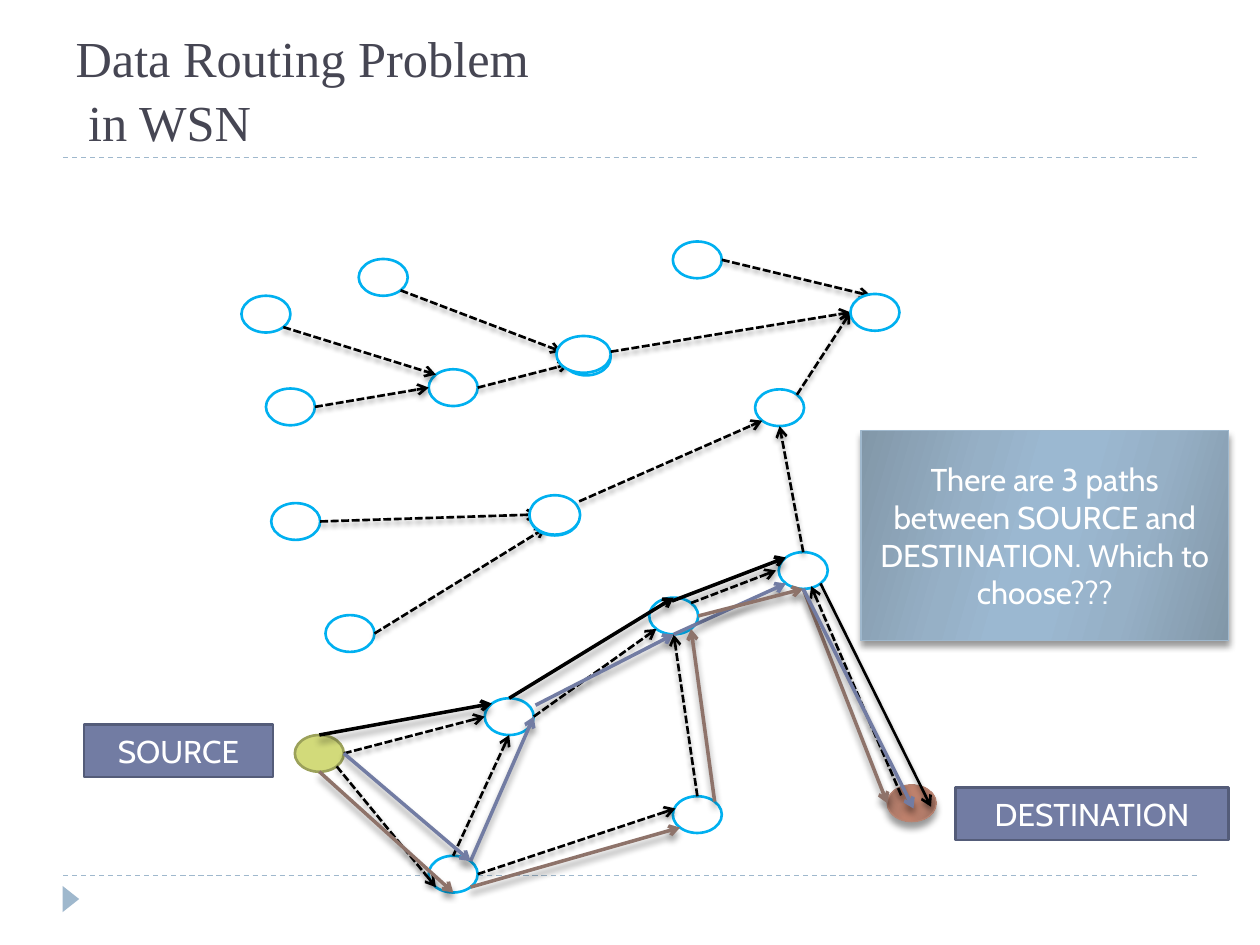
from pptx import Presentation
from pptx.dml.color import RGBColor
from pptx.enum.dml import MSO_LINE as Dash
from pptx.enum.shapes import MSO_CONNECTOR as Link, MSO_SHAPE as Form
from pptx.enum.text import MSO_ANCHOR as Anchor, MSO_AUTO_SIZE as Fit, PP_ALIGN as Align
from pptx.oxml import parse_xml
from pptx.oxml.ns import nsdecls, qn
from pptx.util import Pt

WIDE, HIGH = 28, 21
DIAG = 0.5 ** 0.5
STOPS = (0, 30, 45, 55, 73, 100)
SOFT, DEEP = (3, 2), (4, 3.4)
SKY, SLATE, BROWN, BLACK = "00B0F0", "727CA3", "8E736A", "000000"

# Left and top of each sensor node; S is the source, D the destination
NODES = {
    "A": (384.5, 138), "B": (138, 169), "C": (205, 148), "E": (152, 222),
    "F": (245, 211), "G": (155, 287.5), "M": (186, 351.5), "O": (371, 341.5),
    "P": (277, 399), "T": (445, 315.5), "Q": (245, 489), "S": (168.5, 420),
    "U": (431.5, 222.5), "R": (384.5, 455), "D": (507, 448.5),
    "H": (321, 193.5), "J": (303, 285), "V": (486, 168),
}
PLAIN = "ABCEFGMOPTQUR"

# Each end is a node with a compass side, or a free point
INNER = [
    ("B se", "F nw"), ("E e", "F w"), ("C se", (321, 201)), ("F e", (325.5, 208)),
    ("G e", (307.5, 294)), ("M e", (312, 301.5)), ("S e", "P w"), ("P e", "O sw"),
    ("Q n", "P s"), ("R n", "O s"), ("T n", "U s"), ("A e", (497.5, 169)),
    ("U ne", "V w"), ("O ne", (443.5, 326)),
]
OUTER = [
    ((349, 201), "V w"), ((331, 286.5), "U sw"), ((515, 454.5), (463.5, 335)),
    ("S se", "Q sw"), ("Q e", (386, 462)),
]
ROUTES = [
    ("S n", "P nw", BLACK), ("P n", "O n", BLACK), ((384, 343.5), "T nw", BLACK),
    ("S s", "Q s", BROWN), ("Q ne", "P e", SLATE), ((306, 403), "O s", SLATE),
    ("O s", "T sw", SLATE), ("T s", "D w", BROWN), ("S e", "Q ne", SLATE),
    ("Q se", "R sw", BROWN), ("R ne", "O se", BROWN), ("O e", "T s", BROWN),
    ("T s", (522, 462), SLATE),
]


def rgb(code):
    return RGBColor.from_string(code)


def spot(end):
    """Turn 'node side' into a point on the rim of that ellipse."""
    if not isinstance(end, str):
        return end
    name, side = end.split()
    dx = ("e" in side) - ("w" in side)
    dy = ("s" in side) - ("n" in side)
    k = DIAG if dx and dy else 1
    x, y = NODES[name]
    return x + WIDE / 2 * (1 + k * dx), y + HIGH / 2 * (1 + k * dy)


class Board:
    font = "Cabin"
    size = 18

    def __init__(self, slide):
        self.slide = slide

    def title(self, text, box):
        head = self.slide.shapes.title
        head.left, head.top, head.width, head.height = map(Pt, box)
        frame = head.text_frame
        frame.text = text
        frame.auto_size = Fit.NONE
        frame.vertical_anchor = Anchor.BOTTOM
        para = frame.paragraphs[0]
        para.alignment = Align.LEFT
        para.line_spacing = 1.05
        for run in para.runs:
            run.font.name, run.font.size = "Times New Roman", Pt(28.8)
            run.font.color.rgb = rgb("464653")

    def shade(self, item, shadow):
        """Add a downward shadow of (blur, distance), or none at all."""
        inner = ""
        if shadow:
            blur, dist = map(Pt, shadow)
            inner = (f'<a:outerShdw blurRad="{blur}" dist="{dist}" dir="5400000" rotWithShape="0">'
                     '<a:srgbClr val="000000"><a:alpha val="40000"/></a:srgbClr></a:outerShdw>')
        item._element.spPr.append(
            parse_xml(f'<a:effectLst {nsdecls("a")}>{inner}</a:effectLst>'))

    def blend(self, item, tones):
        """Fill with a gradient that runs through the tones and back."""
        item.fill.gradient()
        item.fill.gradient_angle = 360 - 16
        stops = item._element.spPr.find(".//" + qn("a:gsLst"))
        for old in list(stops):
            stops.remove(old)
        for pos, tone in zip(STOPS, tones + tones[::-1]):
            stops.append(parse_xml(
                f'<a:gs {nsdecls("a")} pos="{pos * 1000}"><a:srgbClr val="{tone}"/></a:gs>'))

    def shape(self, form, box, fill, edge=None, width=1.5, shadow=None):
        item = self.slide.shapes.add_shape(form, *map(Pt, box))
        if isinstance(fill, list):
            self.blend(item, fill)
        else:
            item.fill.solid()
            item.fill.fore_color.rgb = rgb(fill)
        if edge:
            item.line.color.rgb = rgb(edge)
            item.line.width = Pt(width)
        else:
            item.line.fill.background()
        self.shade(item, shadow)
        return item

    def node(self, at, fill="FFFFFF", edge=SKY, size=(WIDE, HIGH), **style):
        self.shape(Form.OVAL, (*at, *size), fill, edge, **style)

    def label(self, text, box, fill, edge, **style):
        item = self.shape(Form.RECTANGLE, box, fill, edge, **style)
        frame = item.text_frame
        frame.text = text
        frame.word_wrap = True
        frame.vertical_anchor = Anchor.MIDDLE
        para = frame.paragraphs[0]
        para.alignment = Align.CENTER
        font = para.runs[0].font
        font.name, font.size = self.font, Pt(self.size)
        font.color.rgb = rgb("FFFFFF")

    def line(self, start, end, color, width, dash=None, shadow=None):
        item = self.slide.shapes.add_connector(
            Link.STRAIGHT, *map(Pt, (*spot(start), *spot(end))))
        item.line.color.rgb = rgb(color)
        item.line.width = Pt(width)
        if dash:
            item.line.dash_style = dash
        self.shade(item, shadow)
        return item

    def arrow(self, start, end, color=BLACK, width=1.5, dash=None, shadow=SOFT):
        item = self.line(start, end, color, width, dash, shadow)
        item.line._get_or_add_ln().append(
            parse_xml(f'<a:tailEnd {nsdecls("a")} type="arrow"/>'))

    def hops(self, pairs):
        for start, end in pairs:
            self.arrow(start, end, dash=Dash.SQUARE_DOT)


def main():
    deck = Presentation()
    deck.slide_width, deck.slide_height = Pt(720), Pt(540)
    board = Board(deck.slides.add_slide(deck.slide_layouts[5]))

    for y in (500.5, 90):
        board.line((36, y), (684, y), "9FB8CD", 0.75, Dash.DASH)
    mark = board.shape(Form.ISOSCELES_TRIANGLE, (33, 509, 15, 9.5), "9FB8CD")
    mark.rotation = 90
    board.title("Data Routing Problem\v in WSN", (36, 18, 648, 72))

    for name in PLAIN:
        board.node(NODES[name])
    board.node(NODES["S"], "D2DA7A", "9BA15A")
    board.hops(INNER)
    for name in "HJ":
        board.node(NODES[name])
    board.node((318, 192), size=(31, HIGH))
    board.node((302.5, 283), size=(29, 22.5))
    board.node(NODES["D"], ["976C5D", "B37C6A", "BE816C"], "B88472",
               width=0.75, shadow=DEEP)
    board.label("SOURCE", (48, 414, 108, 30), SLATE, "545C79")
    board.label("DESTINATION", (546, 450, 156, 30), SLATE, "545C79")
    board.hops(OUTER)

    for start, end, color in ROUTES:
        board.arrow(start, end, color, 2, shadow=DEEP)
    board.arrow("T se", (532, 461))
    board.label("There are 3 paths between SOURCE and DESTINATION. Which to choose???",
                (492, 246, 210, 120), ["8297A8", "96B0C6", "9BB8D1"], "9FB8CD",
                width=0.75, shadow=DEEP)
    board.node(NODES["V"])
    deck.save("out.pptx")


if __name__ == "__main__":
    main()
